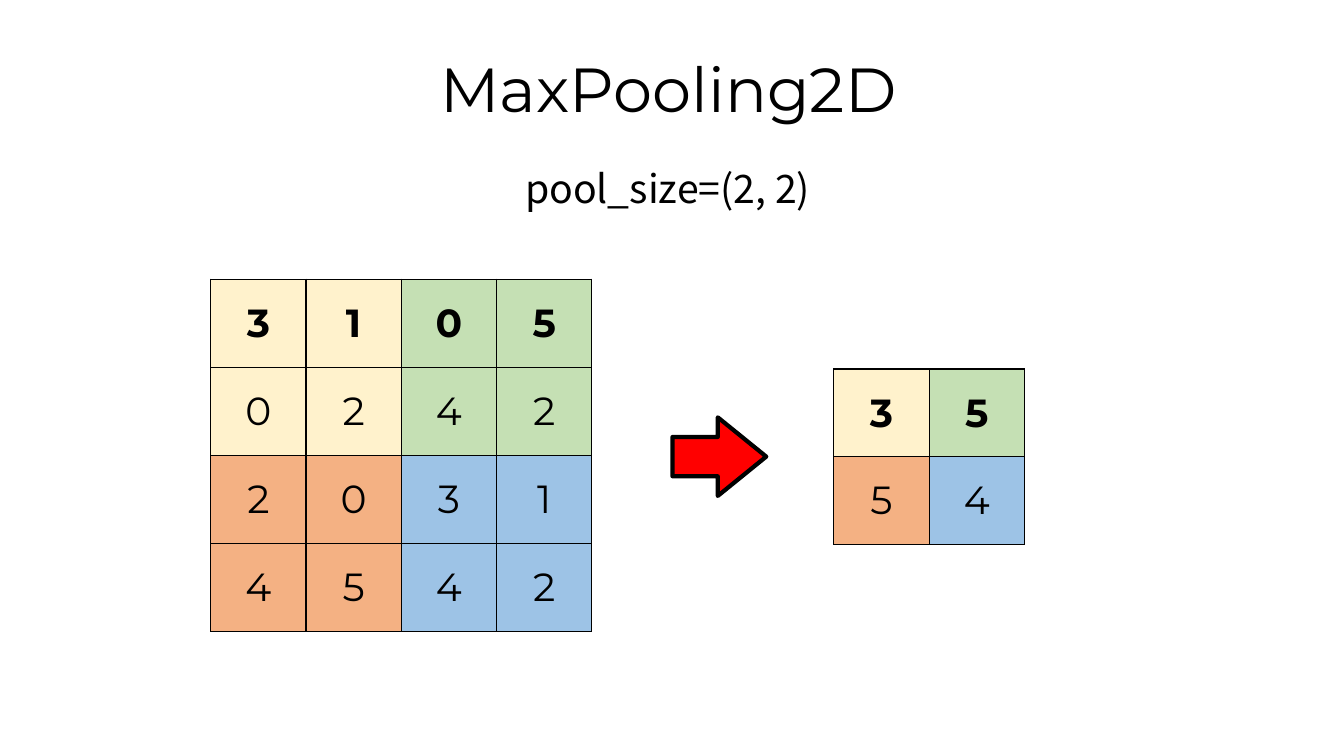
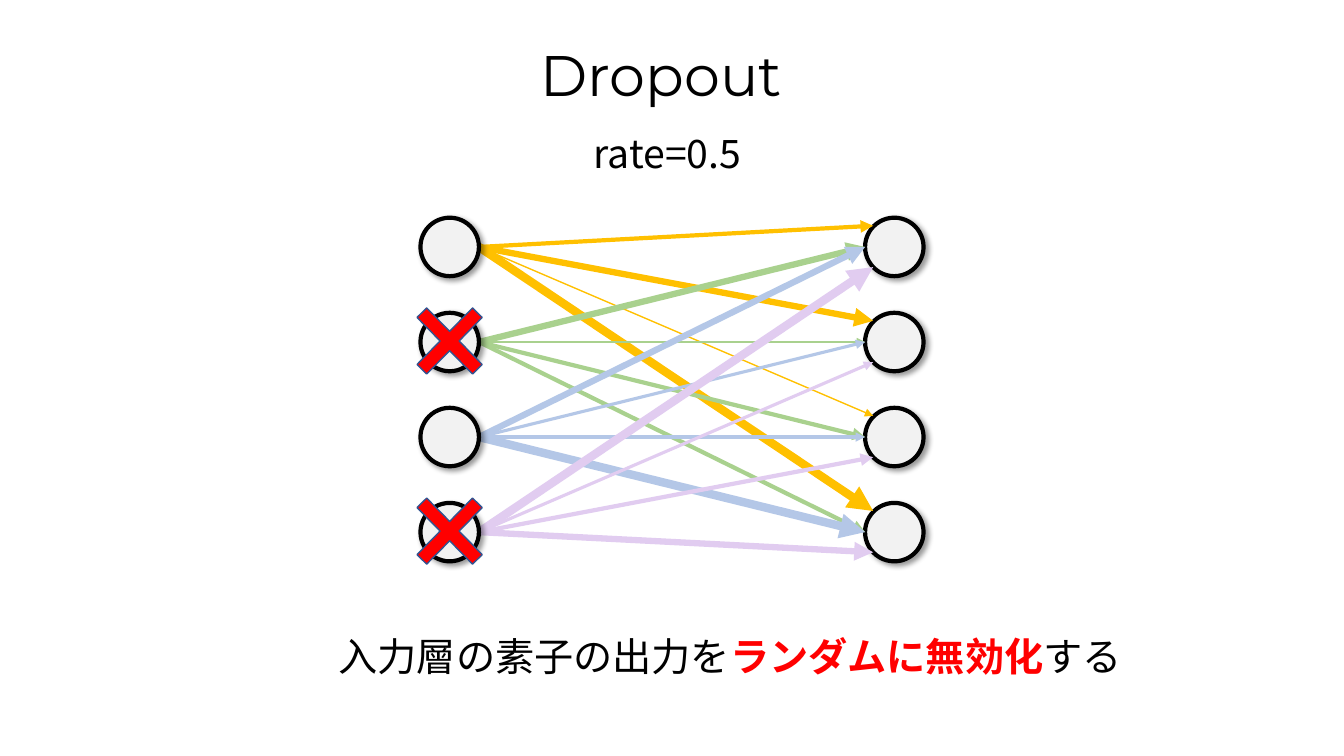
from dataclasses import dataclass

from lxml.etree import SubElement
from pptx import Presentation
from pptx.dml.color import RGBColor
from pptx.enum.shapes import MSO_CONNECTOR, MSO_SHAPE
from pptx.enum.text import MSO_ANCHOR, MSO_AUTO_SIZE, PP_ALIGN
from pptx.oxml import parse_xml
from pptx.oxml.ns import nsdecls, qn
from pptx.util import Inches, Pt


@dataclass(frozen=True)
class Theme:
    black: str = "000000"
    red: str = "FF0000"
    node: str = "F2F2F2"
    cross_edge: str = "325491"
    quadrants: tuple = (("FFF2CC", "C5E0B4"), ("F4B183", "9DC3E6"))
    orange: str = "FFC000"
    green: str = "A9D18E"
    blue: str = "B4C7E7"
    purple: str = "E1CCF0"
    heading: str = "Montserrat"
    body: str = "Noto Sans CJK JP"
    body_size: float = 28
    outline: float = 3
    thin: float = 1


class Deck:
    def __init__(self, theme):
        self.theme = theme
        self.presentation = Presentation()
        self.presentation.slide_width = Inches(13.33)
        self.presentation.slide_height = Inches(7.5)
        self.slide = None

    def new_slide(self):
        self.slide = self.presentation.slides.add_slide(self.presentation.slide_layouts[5])

    def style(self, paragraph, family, size, bold=False):
        font = paragraph.font
        font.name, font.size, font.bold = family, Pt(size), bold
        font.color.rgb = RGBColor.from_string(self.theme.black)
        latin = paragraph._p.pPr.find(".//" + qn("a:latin"))
        latin.addnext(parse_xml(f'<a:ea {nsdecls("a")} typeface="{family}"/>'))

    def title(self, text, left, top, width, size, spacing):
        title = self.slide.shapes.title
        title.left, title.top = Inches(left), Inches(top)
        title.width, title.height = Inches(width), Inches(0.78)
        frame = title.text_frame
        frame.text = text
        frame.auto_size = MSO_AUTO_SIZE.NONE
        frame.vertical_anchor = MSO_ANCHOR.TOP
        paragraph = frame.paragraphs[0]
        paragraph.alignment = PP_ALIGN.LEFT
        paragraph.line_spacing = spacing
        paragraph.space_before = Pt(10)
        self.style(paragraph, self.theme.heading, size)

    def text(self, parts, left, top, width):
        box = self.slide.shapes.add_textbox(
            Inches(left), Inches(top), Inches(width), Inches(0.57))
        frame = box.text_frame
        frame.word_wrap = False
        frame.auto_size = MSO_AUTO_SIZE.SHAPE_TO_FIT_TEXT
        paragraph = frame.paragraphs[0]
        self.style(paragraph, self.theme.body, self.theme.body_size)
        for words, emphasised in parts:
            run = paragraph.add_run()
            run.text = words
            if emphasised:
                run.font.bold = True
                run.font.color.rgb = RGBColor.from_string(self.theme.red)

    def matrix(self, values, left, top):
        count = len(values)
        half = count // 2
        table = self.slide.shapes.add_table(
            count, count, Inches(left), Inches(top),
            Inches(0.945 * count), Inches(0.873 * count)).table
        table.first_row = table.horz_banding = False
        for r, numbers in enumerate(values):
            for c, number in enumerate(numbers):
                cell = table.cell(r, c)
                cell.text = str(number)
                cell.vertical_anchor = MSO_ANCHOR.MIDDLE
                paragraph = cell.text_frame.paragraphs[0]
                paragraph.alignment = PP_ALIGN.CENTER
                self.style(paragraph, self.theme.heading, self.theme.body_size, bold=r == 0)
                self.borders(cell)
                cell.fill.solid()
                cell.fill.fore_color.rgb = RGBColor.from_string(
                    self.theme.quadrants[r // half][c // half])

    def borders(self, cell):
        properties = cell._tc.get_or_add_tcPr()
        for side in ("lnL", "lnR", "lnT", "lnB"):
            properties.append(parse_xml(
                f'<a:{side} {nsdecls("a")} w="{Pt(self.theme.thin)}"><a:solidFill>'
                f'<a:srgbClr val="{self.theme.black}"/></a:solidFill></a:{side}>'))

    def shape(self, preset, left, top, width, height, fill, line, weight,
              adjustments=(), parent=None):
        shapes = (parent or self.slide).shapes
        shape = shapes.add_shape(
            preset, Inches(left), Inches(top), Inches(width), Inches(height))
        shape.shadow.inherit = False
        shape.fill.solid()
        shape.fill.fore_color.rgb = RGBColor.from_string(fill)
        shape.line.color.rgb = RGBColor.from_string(line)
        shape.line.width = Pt(weight)
        for index, value in enumerate(adjustments):
            shape.adjustments[index] = value
        return shape

    def layer(self, left, tops, size):
        group = self.slide.shapes.add_group_shape()
        for top in tops:
            node = self.shape(MSO_SHAPE.FLOWCHART_CONNECTOR, left, top, size, size,
                              self.theme.node, self.theme.black, self.theme.outline,
                              parent=group)
            effects = node._element.spPr.find(qn("a:effectLst"))
            effects.append(parse_xml(
                f'<a:outerShdw {nsdecls("a")} blurRad="{Pt(4)}" dist="{Pt(3)}" '
                f'dir="2700000" algn="tl" rotWithShape="0">'
                f'<a:srgbClr val="{self.theme.black}"><a:alpha val="40000"/>'
                f'</a:srgbClr></a:outerShdw>'))

    def arrow(self, start, end, color, weight):
        arrow = self.slide.shapes.add_connector(
            MSO_CONNECTOR.STRAIGHT, *(Inches(value) for value in (*start, *end)))
        arrow.line.color.rgb = RGBColor.from_string(color)
        arrow.line.width = Pt(weight)
        SubElement(arrow.get_or_add_ln(), qn("a:tailEnd"), type="triangle")
        SubElement(arrow._element.spPr, qn("a:effectLst"))


def max_pooling(deck):
    theme = deck.theme
    inputs = [[3, 1, 0, 5], [0, 2, 4, 2], [2, 0, 3, 1], [4, 5, 4, 2]]
    pooled = [[max(inputs[r][c], inputs[r][c + 1], inputs[r + 1][c], inputs[r + 1][c + 1])
               for c in (0, 2)] for r in (0, 2)]
    deck.new_slide()
    deck.matrix(inputs, 2.09, 2.77)
    deck.shape(MSO_SHAPE.RIGHT_ARROW, 6.67, 4.14, 0.93, 0.78,
               theme.red, theme.black, theme.outline, (0.5, 0.616))
    deck.title("MaxPooling2D", 4.27, 0.53, 5.05, 44.4, 0.9)
    deck.matrix(pooled, 8.27, 3.66)
    deck.text([("pool_size=(2, 2)", False)], 5.11, 1.58, 3.12)


def dropout(deck):
    theme = deck.theme
    size, input_left, output_left = 0.58, 4.17, 8.58
    tops = [2.16 + 0.943 * row for row in range(4)]
    centers = [top + size / 2 for top in tops]
    upper_left, middle_left, lower_left = (0.08, -0.21), (0, 0), (0.08, 0.2)
    weights = [
        (theme.orange, upper_left, (3, 4.5, 1, 6)),
        (theme.green, middle_left, (4.5, 1.5, 3, 3)),
        (theme.blue, middle_left, (4.5, 2.25, 2.25, 6)),
        (theme.purple, lower_left, (6, 2.25, 3, 4.5)),
    ]
    dropped = (1, 3)

    deck.new_slide()
    deck.layer(output_left, tops, size)
    deck.title("Dropout", 5.26, 0.47, 2.81, 40.8, 0.8)
    for source, (color, (dx, dy), strengths) in zip(centers, weights):
        for target, strength in zip(centers, strengths):
            deck.arrow((input_left + size, source), (output_left + dx, target + dy),
                       color, strength)
    deck.layer(input_left, tops, size)
    for row in dropped:
        deck.shape(MSO_SHAPE.MATH_MULTIPLY, input_left - 0.24, tops[row] - 0.26, 1.06, 1.08,
                   theme.red, theme.cross_edge, theme.thin, (0.127,))
    deck.text([("入力層の素子の出力を", False), ("ランダムに無効化", True), ("する", False)],
              3.26, 6.22, 8.06)
    deck.text([("rate=0.5", False)], 5.79, 1.23, 1.74)


deck = Deck(Theme())
max_pooling(deck)
dropout(deck)
deck.presentation.save("out.pptx")
